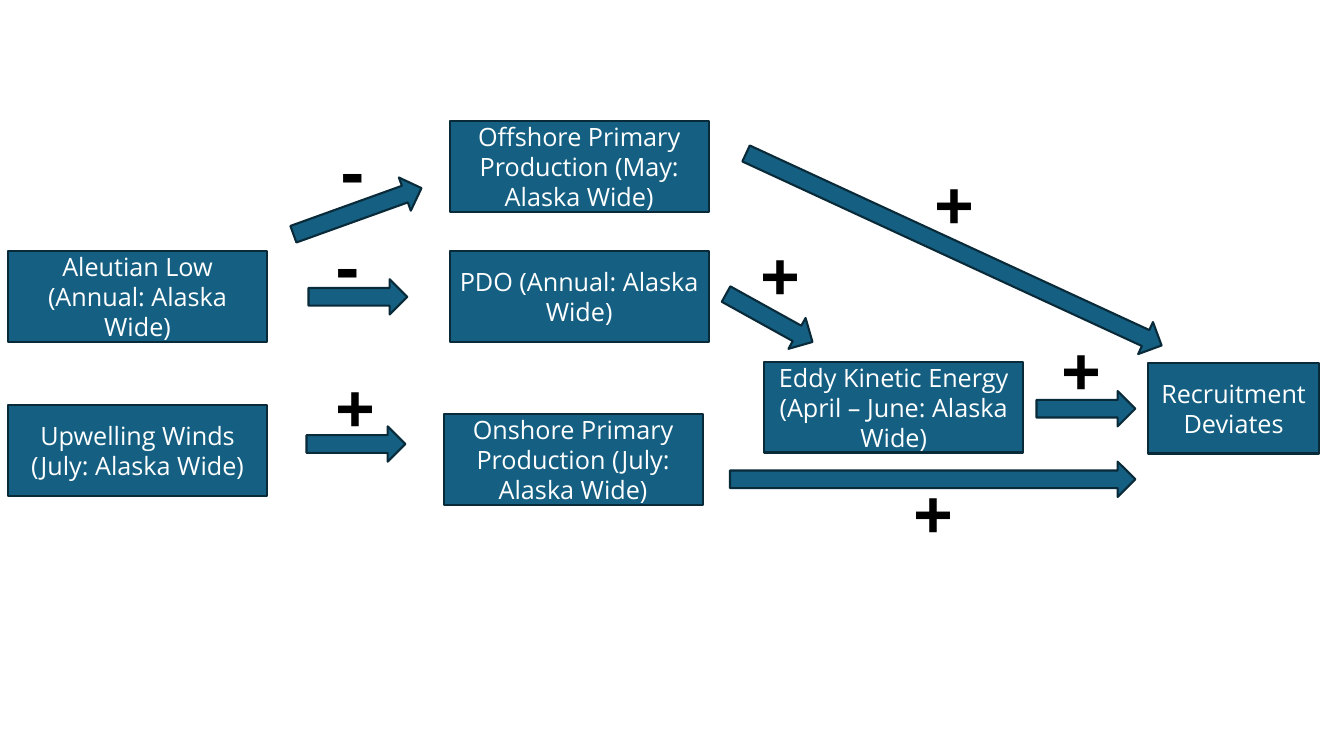
from pptx import Presentation
from pptx.dml.color import RGBColor
from pptx.enum.shapes import MSO_SHAPE
from pptx.enum.text import MSO_ANCHOR, MSO_AUTO_SIZE, PP_ALIGN
from pptx.util import Inches, Pt

RECTANGLE, RIGHT_ARROW = MSO_SHAPE.RECTANGLE, MSO_SHAPE.RIGHT_ARROW
MIDDLE, CENTER = MSO_ANCHOR.MIDDLE, PP_ALIGN.CENTER
FIT_SHAPE = MSO_AUTO_SIZE.SHAPE_TO_FIT_TEXT

FONT = "Open Sans"
COLORS = {"fill": "156082", "outline": "092A39", "label": "FFFFFF", "sign": "000000"}
FACTOR_WIDTH, OUTCOME_WIDTH, FACTOR_HEIGHT = 2.57, 1.69, 0.9
ARROW_HEIGHT, SIGN_HEIGHT = 0.35, 0.94
SIGN_WIDTHS = {"-": 0.44, "+": 0.58}

# Factors: label, left, top, width
FACTORS = [
    ("Aleutian Low (Annual: Alaska Wide)", 0.08, 2.49, FACTOR_WIDTH),
    ("PDO (Annual: Alaska Wide)", 4.46, 2.49, FACTOR_WIDTH),
    ("Upwelling Winds (July: Alaska Wide)", 0.08, 4.02, FACTOR_WIDTH),
    ("Eddy Kinetic Energy (April – June: Alaska Wide)", 7.58, 3.59, FACTOR_WIDTH),
    ("Offshore Primary Production (May: Alaska Wide)", 4.46, 1.2, FACTOR_WIDTH),
    ("Onshore Primary Production (July: Alaska Wide)", 4.4, 4.11, FACTOR_WIDTH),
    ("Recruitment Deviates", 11.39, 3.6, OUTCOME_WIDTH),
]

# Effects: arrow left, top, length, rotation; sign, sign left, sign top
EFFECTS = [
    (3.06, 2.77, 0.98, 0, "-", 3.24, 2.16),
    (2.87, 1.92, 1.35, 340.2, "-", 3.29, 1.22),
    (7.14, 2.98, 0.98, 29, "+", 7.44, 2.26),
    (7.19, 2.3, 4.54, 24.8, "+", 9.17, 1.55),
    (10.28, 3.88, 0.98, 0, "+", 10.43, 3.2),
    (7.24, 4.58, 4.02, 0, "+", 8.96, 4.62),
    (3.04, 4.23, 0.98, 0, "+", 3.23, 3.57),
]

prs = Presentation()
prs.slide_width, prs.slide_height = Inches(13.33), Inches(7.5)
slide = prs.slides.add_slide(prs.slide_layouts[6])


def color(name):
    return RGBColor.from_string(COLORS[name])


def add_block(preset, left, top, width, height):
    block = slide.shapes.add_shape(
        preset, Inches(left), Inches(top), Inches(width), Inches(height))
    block.shadow.inherit = False
    block.fill.solid()
    block.fill.fore_color.rgb = color("fill")
    block.line.color.rgb = color("outline")
    block.line.width = Pt(1.5)
    return block


def write(frame, text, size, color_name, bold=False):
    frame.text = text
    font = frame.paragraphs[0].runs[0].font
    font.name, font.size, font.bold = FONT, Pt(size), bold
    font.color.rgb = color(color_name)


# Factor boxes
for label, left, top, width in FACTORS:
    frame = add_block(RECTANGLE, left, top, width, FACTOR_HEIGHT).text_frame
    frame.word_wrap = True
    frame.vertical_anchor = MIDDLE
    write(frame, label, 18, "label")
    frame.paragraphs[0].alignment = CENTER

# Effect arrows with their signs
for left, top, length, rotation, sign, sign_left, sign_top in EFFECTS:
    arrow = add_block(RIGHT_ARROW, left, top, length, ARROW_HEIGHT)
    arrow.rotation = rotation
    sign_box = slide.shapes.add_textbox(
        Inches(sign_left), Inches(sign_top), Inches(SIGN_WIDTHS[sign]), Inches(SIGN_HEIGHT))
    sign_box.text_frame.word_wrap = False
    sign_box.text_frame.auto_size = FIT_SHAPE
    write(sign_box.text_frame, sign, 50, "sign", bold=True)

prs.save("out.pptx")
